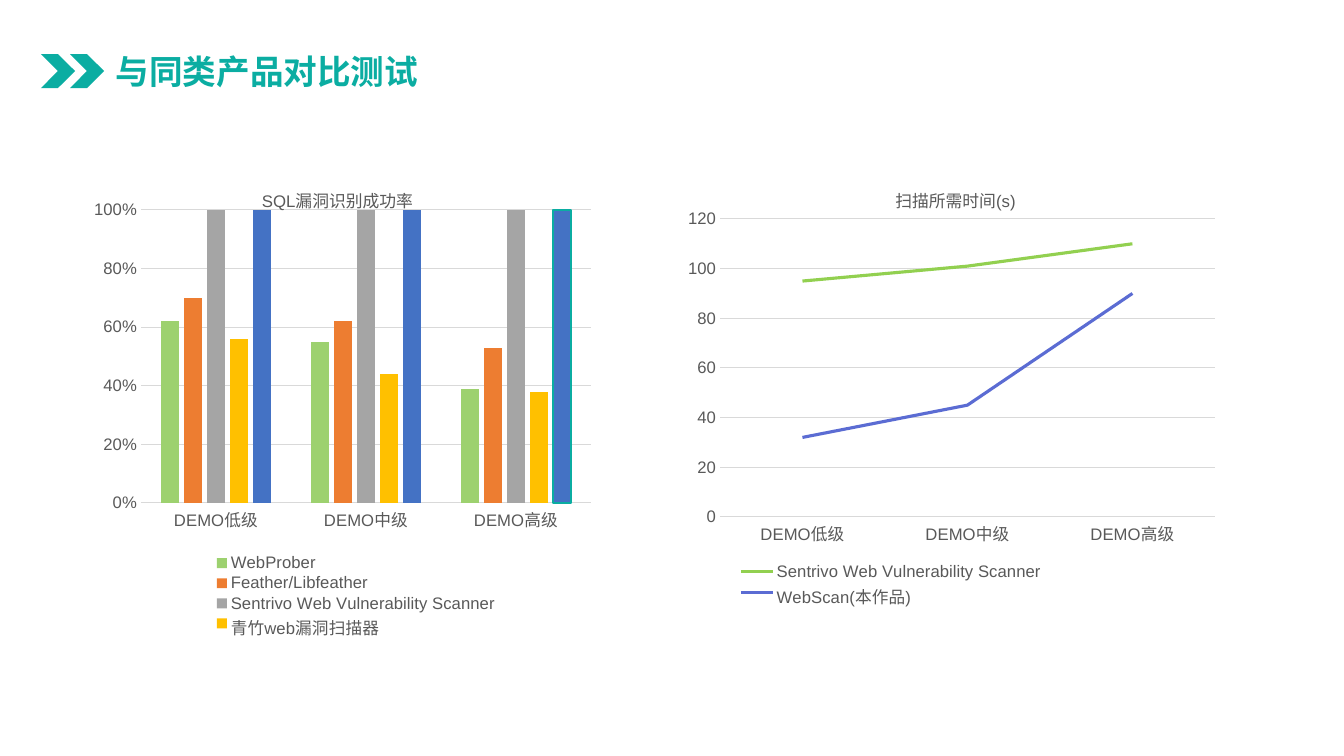
from lxml import etree
from pptx import Presentation
from pptx.chart.data import CategoryChartData
from pptx.dml.color import RGBColor
from pptx.enum.chart import XL_CHART_TYPE, XL_LEGEND_POSITION, XL_TICK_MARK
from pptx.enum.shapes import MSO_SHAPE
from pptx.enum.text import MSO_ANCHOR, PP_ALIGN
from pptx.oxml.ns import qn
from pptx.util import Pt

COLUMNS = XL_CHART_TYPE.COLUMN_CLUSTERED
LINES = XL_CHART_TYPE.LINE
LEGEND_BOTTOM = XL_LEGEND_POSITION.BOTTOM
NO_TICKS = XL_TICK_MARK.NONE
CHEVRON = MSO_SHAPE.CHEVRON
CENTER = PP_ALIGN.CENTER
MIDDLE = MSO_ANCHOR.MIDDLE

EMU_PER_PX = 914400 / 100.8
FONT = "Arial"
TEAL, GREY, GRID = "0BADA2", "595959", "D9D9D9"
LEVELS = ["DEMO低级", "DEMO中级", "DEMO高级"]
RIVAL, OURS = "Sentrivo Web Vulnerability Scanner", "WebScan(本作品)"

SUCCESS_RATES = [
    ("WebProber", [0.62, 0.55, 0.39], "9DD16F"),
    ("Feather/Libfeather", [0.7, 0.62, 0.53], "ED7D31"),
    (RIVAL, [1, 1, 1], "A5A5A5"),
    ("青竹web漏洞扫描器", [0.56, 0.44, 0.38], "FFC000"),
    (OURS, [1, 1, 1], "4472C4"),
]
SCAN_TIMES = [
    (RIVAL, [95, 101, 110], "92D050"),
    (OURS, [32, 45, 90], "5B6CD3"),
]


def px(*lengths):
    return [round(length * EMU_PER_PX) for length in lengths]


def color(hex_string):
    return RGBColor.from_string(hex_string)


def format_font(font, size, hex_string, bold=False):
    font.name = FONT
    font.size = Pt(size)
    font.bold = bold
    font.color.rgb = color(hex_string)


def write_text(frame, text, size=12, hex_string=GREY, bold=False):
    paragraph = frame.paragraphs[0]
    paragraph.alignment = CENTER
    run = paragraph.add_run()
    run.text = text
    format_font(run.font, size, hex_string, bold)


def format_line(line, hex_string, width):
    line.color.rgb = color(hex_string)
    line.width = Pt(width)


def add_header(slide, box, text):
    left, top, width, height = box
    # Double chevron
    size, step = 34, 29
    group = slide.shapes.add_group_shape()
    for index in range(2):
        shape = group.shapes.add_shape(
            CHEVRON, *px(left + index * step, top + 7, size, size))
        shape.shadow.inherit = False
        shape.fill.solid()
        shape.fill.fore_color.rgb = color(TEAL)
        shape.line.fill.background()
    # Title
    title = slide.shapes.title
    title.left, title.top, title.width, title.height = px(
        left + 65, top, width - 65, height)
    frame = title.text_frame
    frame.word_wrap = False
    frame.vertical_anchor = MIDDLE
    frame.margin_left, frame.margin_right = px(8, 8)
    frame.margin_top, frame.margin_bottom = px(4, 4)
    write_text(frame, text, size=24, hex_string=TEAL, bold=True)


def make_layout(box, area, inner=False):
    """Manual layout of an area, in px, within the chart's box."""
    layout = etree.Element(qn("c:layout"))
    manual = etree.SubElement(layout, qn("c:manualLayout"))
    settings = [("layoutTarget", "inner")] if inner else []
    settings += [("xMode", "edge"), ("yMode", "edge")]
    for name, length, whole in zip("xywh", area, box[2:] * 2):
        settings.append((name, f"{length / whole:.4f}"))
    for name, value in settings:
        etree.SubElement(manual, qn(f"c:{name}")).set("val", value)
    return layout


def place_plot(chart, box, area):
    plot_area = chart._chartSpace.chart.plotArea
    for layout in plot_area.findall(qn("c:layout")):
        plot_area.remove(layout)
    plot_area.insert(0, make_layout(box, area, inner=True))


def add_legend(chart, box, area, hidden_entry=None):
    chart.has_legend = True
    legend = chart.legend
    legend.position = LEGEND_BOTTOM
    legend.include_in_layout = False
    format_font(legend.font, 11.9, GREY)
    element = legend._element
    for layout in element.findall(qn("c:layout")):
        element.remove(layout)
    position = element.find(qn("c:legendPos"))
    position.addnext(make_layout(box, area))
    if hidden_entry is not None:
        entry = etree.Element(qn("c:legendEntry"))
        etree.SubElement(entry, qn("c:idx")).set("val", str(hidden_entry))
        etree.SubElement(entry, qn("c:delete")).set("val", "1")
        position.addnext(entry)


def add_chart(slide, box, kind, title, rows, plot_box, number_format):
    data = CategoryChartData(number_format=number_format)
    data.categories = LEVELS
    for name, values, _ in rows:
        data.add_series(name, values)
    chart = slide.shapes.add_chart(kind, *px(*box), data).chart
    format_font(chart.font, 10, "000000")
    chart.has_title = True
    chart.chart_title.include_in_layout = False
    write_text(chart.chart_title.text_frame, title)
    chart.plots[0].vary_by_categories = False
    place_plot(chart, box, plot_box)

    # Axes
    for axis in (chart.category_axis, chart.value_axis):
        axis.major_tick_mark = axis.minor_tick_mark = NO_TICKS
        format_font(axis.tick_labels.font, 11.9, GREY)
    format_line(chart.category_axis.format.line, GRID, 0.75)
    value_axis = chart.value_axis
    value_axis.format.line.fill.background()
    format_line(value_axis.major_gridlines.format.line, GRID, 0.75)
    value_axis.tick_labels.number_format = number_format
    value_axis.tick_labels.number_format_is_linked = False
    return chart


def add_success_chart(slide, box):
    chart = add_chart(slide, box, COLUMNS, "SQL漏洞识别成功率", SUCCESS_RATES,
                      (90, 42, 450, 293), "0%")
    chart.value_axis.maximum_scale = 1
    chart.value_axis.major_unit = 0.2
    plot = chart.plots[0]
    plot.gap_width, plot.overlap = 219, -27
    for series, (_, _, fill) in zip(plot.series, SUCCESS_RATES):
        series.format.fill.solid()
        series.format.fill.fore_color.rgb = color(fill)
    # Outlined last column
    point = plot.series[-1].points[2].format
    point.fill.solid()
    point.fill.fore_color.rgb = color(SUCCESS_RATES[-1][2])
    format_line(point.line, TEAL, 1)
    add_legend(chart, box, (155, 384, 300, 90), hidden_entry=4)


def add_time_chart(slide, box):
    chart = add_chart(slide, box, LINES, "扫描所需时间(s)", SCAN_TIMES,
                      (40, 51, 495, 298), "General")
    for series, (_, _, stroke) in zip(chart.plots[0].series, SCAN_TIMES):
        series.smooth = False
        format_line(series.format.line, stroke, 2.25)
    add_legend(chart, box, (46, 392, 330, 52))


def main():
    presentation = Presentation()
    presentation.slide_width, presentation.slide_height = px(1344, 756)
    slide = presentation.slides.add_slide(presentation.slide_layouts[5])
    add_header(slide, (41, 47, 387, 48), "与同类产品对比测试")
    add_success_chart(slide, (51, 168, 573, 477))
    add_time_chart(slide, (680, 168, 551, 463))
    presentation.save("out.pptx")


if __name__ == "__main__":
    main()
